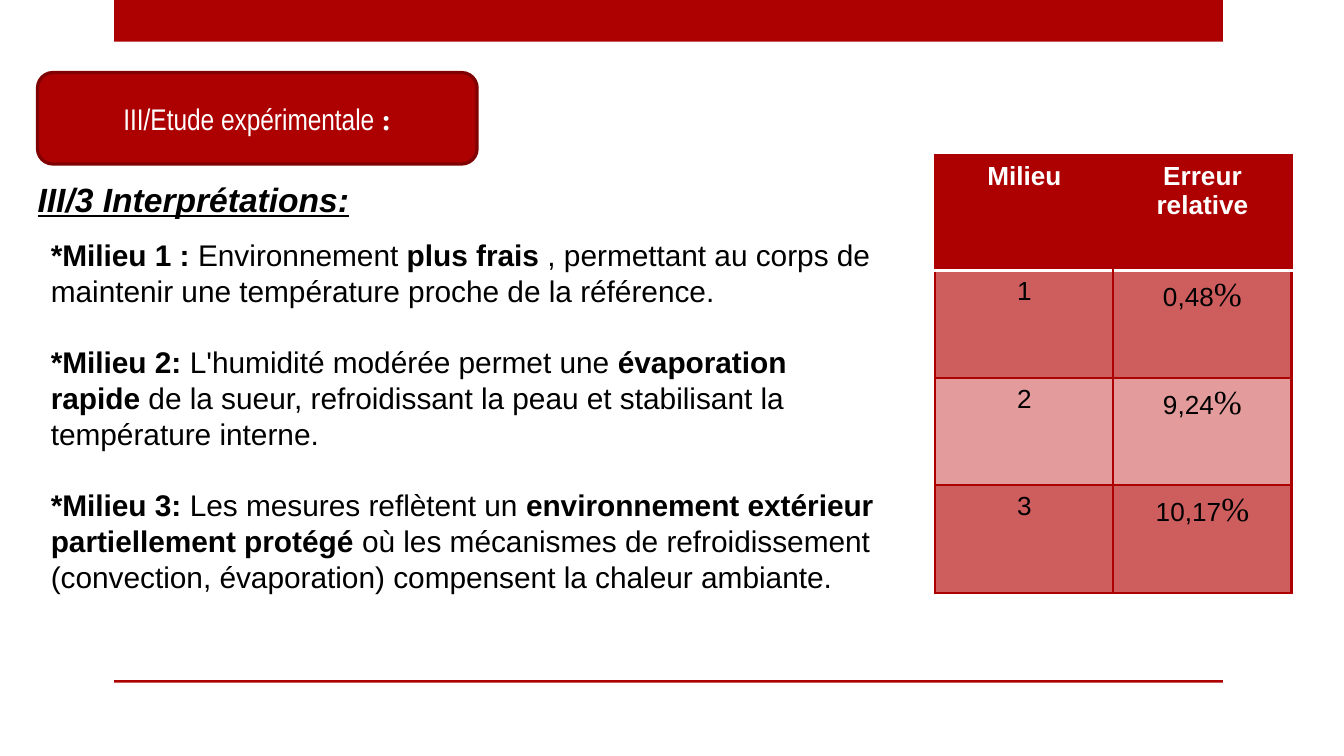
from dataclasses import dataclass

from lxml import etree
from pptx import Presentation
from pptx import util as u
from pptx.dml.color import RGBColor
from pptx.enum import shapes, text
from pptx.oxml.ns import qn

RED, DARK_RED, WHITE, BLACK = "AD0101", "800101", "FFFFFF", "000000"
BAND_FILLS = ("CE5D5D", "E49B9B")
NBSP = chr(160)  # keeps the words on both sides on one line


@dataclass(frozen=True)
class Span:
    words: str
    size: float = 16
    bold: bool = False
    color: str = BLACK
    font: str = "Arial"
    italic: bool = False
    underline: bool = False


@dataclass(frozen=True)
class Block:
    left: float
    top: float
    width: float
    height: float

    def lengths(self) -> tuple:
        return tuple(u.Inches(v) for v in (self.left, self.top, self.width, self.height))


@dataclass(frozen=True)
class Measure:
    milieu: str
    error: str


def rgb(color: str) -> RGBColor:
    return RGBColor.from_string(color)


def add_spans(para, spans: list[Span]) -> None:
    for span in spans:
        run = para.add_run()
        run.text = span.words
        run.font.size = u.Pt(span.size)
        run.font.name = span.font
        run.font.bold = span.bold
        run.font.italic = span.italic
        run.font.underline = span.underline
        run.font.color.rgb = rgb(span.color)


def add_block(slide, kind, block: Block, fill: str, line: str = ""):
    shape = slide.shapes.add_shape(kind, *block.lengths())
    shape.shadow.inherit = False
    shape.fill.solid()
    shape.fill.fore_color.rgb = rgb(fill)
    if line:
        shape.line.color.rgb = rgb(line)
        shape.line.width = u.Pt(1.75)
    else:
        shape.line.fill.background()
    return shape


def set_border(cell, side: str, color: str, width: float) -> None:
    properties = cell._tc.get_or_add_tcPr()
    line = etree.SubElement(properties, qn(f"a:{side}"), w=str(u.Pt(width)))
    if color:
        fill = etree.SubElement(line, qn("a:solidFill"))
        etree.SubElement(fill, qn("a:srgbClr"), val=color)
    else:
        etree.SubElement(line, qn("a:noFill"))


def format_cell(cell, spans: list[Span], fill: str, borders: dict) -> None:
    para = cell.text_frame.paragraphs[0]
    para.alignment = text.PP_ALIGN.CENTER
    add_spans(para, spans)
    # Borders come before the fill in the cell properties
    for side, (color, width) in borders.items():
        set_border(cell, side, color, width)
    properties = cell._tc.get_or_add_tcPr()
    solid = etree.SubElement(properties, qn("a:solidFill"))
    etree.SubElement(solid, qn("a:srgbClr"), val=fill)


def add_measures(slide, block: Block, headers: list[str], measures: list[Measure]) -> None:
    frame = slide.shapes.add_table(len(measures) + 1, len(headers), *block.lengths())
    table = frame.table
    for row in table.rows:
        row.height = u.Inches(0.8)
    table.rows[0].height = u.Inches(0.86)

    red, white, none = (RED, 1.25), (WHITE, 1.75), ("", 0)
    for column, header in enumerate(headers):
        borders = {"lnL": none if column else red, "lnR": red if column else none,
                   "lnT": red, "lnB": white}
        format_cell(table.cell(0, column), [Span(header, 14, True, WHITE)], RED, borders)

    for index, measure in enumerate(measures):
        fill = BAND_FILLS[index % 2]
        borders = {"lnL": red, "lnR": red, "lnT": red if index else white, "lnB": red}
        row = index + 1
        format_cell(table.cell(row, 0), [Span(measure.milieu, 14)], fill, borders)
        error = [Span(measure.error, 14), Span("%", 18, font="Times New Roman")]
        format_cell(table.cell(row, 1), error, fill, borders)


INTERPRETATIONS = [
    [Span("*Milieu 1 : ", bold=True), Span(f"Environnement{NBSP}"),
     Span("plus frais ", bold=True),
     Span(", permettant au corps de maintenir une température proche de la référence.")],
    [Span("*Milieu 2: ", bold=True), Span(f"L'humidité modérée permet une{NBSP}"),
     Span("évaporation rapide", bold=True),
     Span(f"{NBSP}de la sueur, refroidissant la peau et stabilisant la température interne.")],
    [Span("*Milieu 3: ", bold=True), Span(f"Les mesures reflètent un{NBSP}"),
     Span("environnement extérieur partiellement protégé ", bold=True),
     Span("où les mécanismes de refroidissement (convection, évaporation) "
          "compensent la chaleur ambiante.")],
]
MEASURES = [Measure("1", "0,48"), Measure("2", "9,24"), Measure("3", "10,17")]


def main() -> None:
    deck = Presentation()
    deck.slide_width = u.Inches(10)
    deck.slide_height = deck.slide_width * 9 // 16
    page = deck.slides.add_slide(deck.slide_layouts[5])

    # Top band and bottom rule
    for top, height in ((0, 0.31), (5.06, 0.02)):
        add_block(page, shapes.MSO_SHAPE.RECTANGLE, Block(0.85, top, 8.25, height), RED)

    # Section label
    label = add_block(page, shapes.MSO_SHAPE.ROUNDED_RECTANGLE,
                      Block(0.28, 0.54, 3.27, 0.68), RED, DARK_RED)
    label.text_frame.vertical_anchor = text.MSO_ANCHOR.MIDDLE
    para = label.text_frame.paragraphs[0]
    para.alignment = text.PP_ALIGN.CENTER
    add_spans(para, [Span("III/Etude expérimentale ", color=WHITE, font="Arial Narrow"),
                     Span(":", bold=True, color=WHITE, font="Times New Roman")])

    # Title
    title = page.shapes.title
    title.left, title.top, title.width, title.height = Block(0.18, 1.28, 5, 0.4).lengths()
    title.text_frame.vertical_anchor = text.MSO_ANCHOR.TOP
    title.text_frame.auto_size = text.MSO_AUTO_SIZE.NONE
    para = title.text_frame.paragraphs[0]
    para.alignment = text.PP_ALIGN.LEFT
    add_spans(para, [Span("III/3 Interprétations:", 18, True, italic=True, underline=True)])

    # Interpretations
    box = page.shapes.add_textbox(*Block(0.28, 1.71, 6.46, 2.79).lengths())
    box.text_frame.word_wrap = True
    for index, spans in enumerate(INTERPRETATIONS):
        para = box.text_frame.add_paragraph() if index else box.text_frame.paragraphs[0]
        if index:
            para.space_before = u.Pt(19.2)
        add_spans(para, spans)

    # Relative errors
    add_measures(page, Block(6.96, 1.15, 2.65, 3.26), ["Milieu", "Erreur relative"], MEASURES)

    deck.save("out.pptx")


if __name__ == "__main__":
    main()
